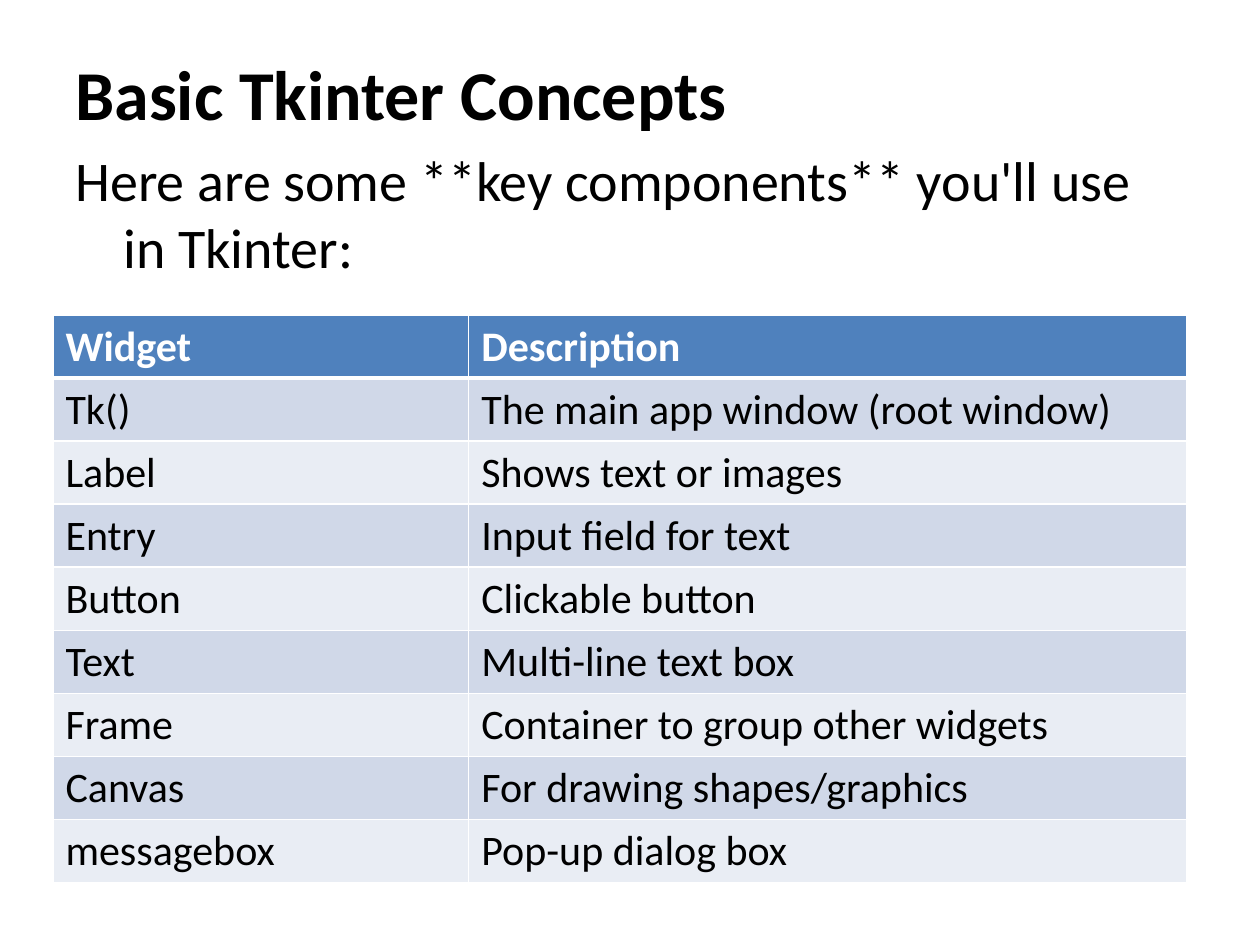
from lxml import etree
from pptx import Presentation
from pptx import util as u
from pptx.dml.color import RGBColor
from pptx.oxml.ns import qn

# Content
INTRO = [
    ("Basic Tkinter Concepts", {"size": u.Pt(40), "bold": True}, 0),
    ("Here are some **key components** you'll use in Tkinter:",
     {"size": u.Pt(32), "bold": False}, 6.4),
]
WIDGETS = [
    ("Widget", "Description"),
    ("Tk()", "The main app window (root window)"),
    ("Label", "Shows text or images"),
    ("Entry", "Input field for text"),
    ("Button", "Clickable button"),
    ("Text", "Multi-line text box"),
    ("Frame", "Container to group other widgets"),
    ("Canvas", "For drawing shapes/graphics"),
    ("messagebox", "Pop-up dialog box"),
]
COLUMN_WIDTHS = (3.3, 5.7)
ROW_HEIGHT = 0.5
HEADER_FILL, BAND_FILLS = "4F81BD", ("E9EDF4", "D0D8E8")
BLACK, WHITE = "000000", "FFFFFF"


def color(value):
    return RGBColor.from_string(value)


def write(para, content, font_color, formats):
    span = para.add_run()
    span.text = content
    for name, value in {"name": "Calibri", **formats}.items():
        setattr(span.font, name, value)
    span.font.color.rgb = color(font_color)


def add_borders(cell, widths):
    properties = cell._tc.get_or_add_tcPr()
    for side, width in widths.items():
        line = etree.SubElement(properties, qn(f"a:ln{side}"), w=str(u.Pt(width)))
        fill = etree.SubElement(line, qn("a:solidFill"))
        etree.SubElement(fill, qn("a:srgbClr"), val=WHITE)


deck = Presentation()
deck.slide_width, deck.slide_height = u.Inches(10), u.Inches(7.5)
page = deck.slides.add_slide(deck.slide_layouts[6])

# Heading and introduction with hanging indents
box = page.shapes.add_textbox(u.Inches(0.5), u.Inches(0.35), u.Inches(9), u.Inches(2))
frame = box.text_frame
frame.word_wrap = True
for index, (content, formats, space) in enumerate(INTRO):
    para = frame.add_paragraph() if index else frame.paragraphs[0]
    para.space_before = u.Pt(space)
    indent = u.Inches(0.38)
    properties = para._p.get_or_add_pPr()
    properties.set("marL", str(indent))
    properties.set("indent", str(-indent))
    write(para, content, BLACK, formats)

# Widget table
table = page.shapes.add_table(
    len(WIDGETS), len(COLUMN_WIDTHS), u.Inches(0.42), u.Inches(2.5),
    u.Inches(sum(COLUMN_WIDTHS)), u.Inches(ROW_HEIGHT * len(WIDGETS))).table
for column, width in zip(table.columns, COLUMN_WIDTHS):
    column.width = u.Inches(width)
for row, entries in enumerate(WIDGETS):
    header = row == 0
    table.rows[row].height = u.Inches(ROW_HEIGHT)
    for column, content in enumerate(entries):
        cell = table.cell(row, column)
        add_borders(cell, {"L": 1, "R": 1, "T": 3 if row == 1 else 1,
                           "B": 3 if header else 1})
        cell.fill.solid()
        cell.fill.fore_color.rgb = color(HEADER_FILL if header else BAND_FILLS[row % 2])
        write(cell.text_frame.paragraphs[0], content, WHITE if header else BLACK,
              {"size": u.Pt(24), "bold": header})

deck.save("out.pptx")
